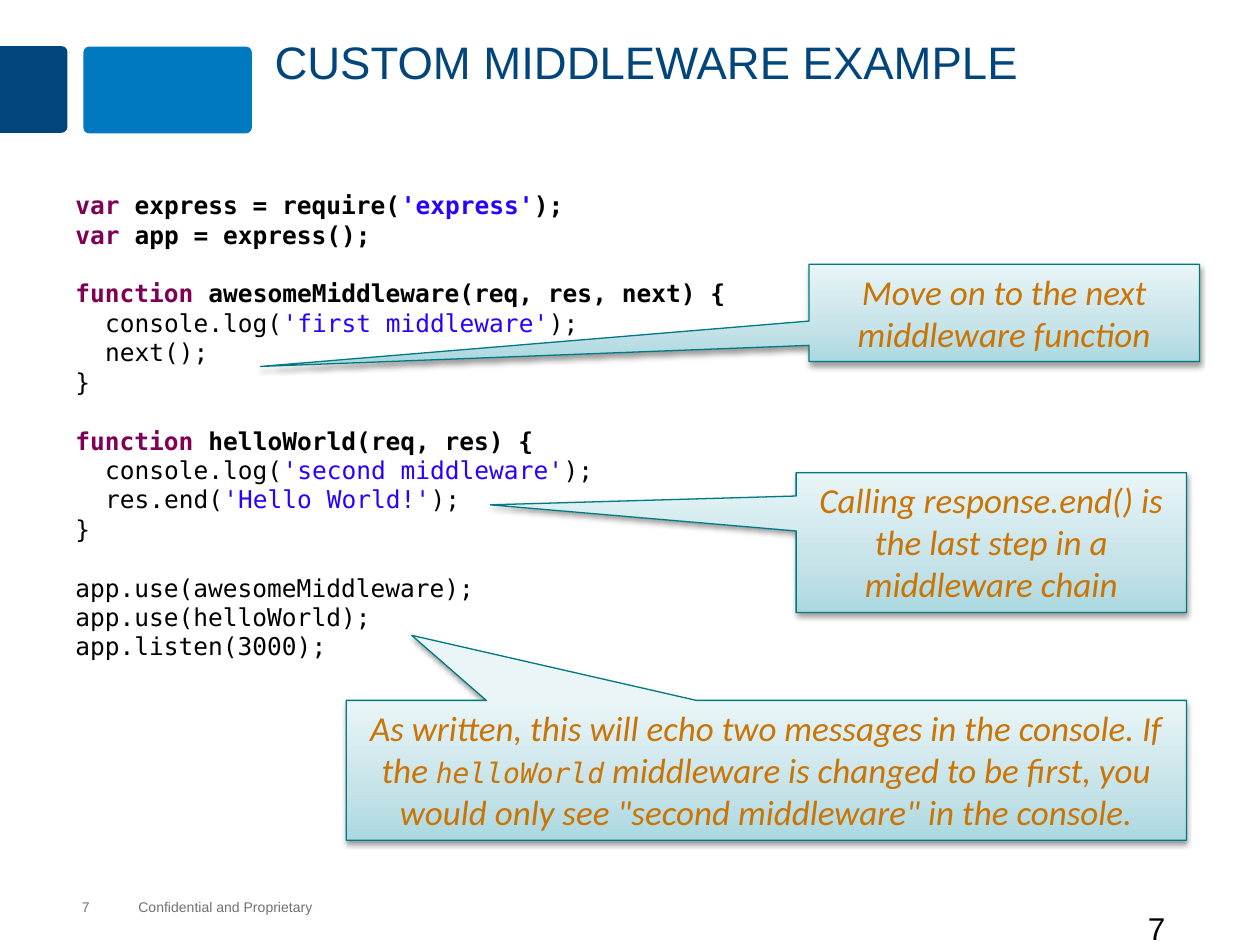
import lxml.etree
import pptx
import pptx.dml.color
import pptx.enum.shapes
import pptx.enum.text
import pptx.oxml
import pptx.oxml.ns
import pptx.util

Cm, Pt = pptx.util.Cm, pptx.util.Pt
RGBColor = pptx.dml.color.RGBColor
SHAPE = pptx.enum.shapes.MSO_SHAPE
ANCHOR = pptx.enum.text.MSO_ANCHOR
ALIGN = pptx.enum.text.PP_ALIGN
AUTO_SIZE = pptx.enum.text.MSO_AUTO_SIZE
qn = pptx.oxml.ns.qn

NAVY = RGBColor(0x00, 0x45, 0x7C)
BLUE = RGBColor(0x00, 0x79, 0xC1)
GREY = RGBColor(0x71, 0x70, 0x74)
BLACK = RGBColor(0x00, 0x00, 0x00)
KEYWORD = RGBColor(0x7F, 0x00, 0x55)
STRING = RGBColor(0x2A, 0x00, 0xFF)
TEAL = RGBColor(0x00, 0x79, 0x82)
ORANGE = RGBColor(0xCA, 0x74, 0x06)
GRADIENT = ((0, RGBColor(0xAB, 0xD8, 0xDF)),
            (35, RGBColor(0xC5, 0xE3, 0xE8)),
            (100, RGBColor(0xE9, 0xF5, 0xF7)))


class SlideBuilder:
    sans, callout_font, mono = "Arial", "Calibri", "DejaVu Sans Mono"
    code_size = 14
    code_line = 16.8
    code_indent = Cm(0.6)

    def __init__(self, slide):
        self.slide = slide

    def set_font(self, font, name, size, color=None):
        font.name, font.size = name, Pt(size)
        if color is not None:
            font.color.rgb = color

    def title(self, text, *place):
        title = self.slide.shapes.title
        title.left, title.top, title.width, title.height = map(Cm, place)
        frame = title.text_frame
        frame.text = text
        frame.vertical_anchor = ANCHOR.TOP
        frame.auto_size = AUTO_SIZE.NONE
        para = frame.paragraphs[0]
        para.alignment, para.line_spacing = ALIGN.LEFT, 0.95
        self.set_font(para.font, self.sans, 26, NAVY)

    def block(self, kind, color, adjustment, *place, rotation=0):
        block = self.slide.shapes.add_shape(kind, *map(Cm, place))
        block.adjustments[0] = adjustment
        block.rotation = rotation
        block.shadow.inherit = False
        block.fill.solid()
        block.fill.fore_color.rgb = color
        block.line.fill.background()

    def label(self, text, size, color, *place, tight=False):
        box = self.slide.shapes.add_textbox(*map(Cm, place))
        frame = box.text_frame
        frame.word_wrap = True
        if tight:
            frame.margin_left = frame.margin_right = 0
            frame.margin_top = frame.margin_bottom = 0
            frame.vertical_anchor = ANCHOR.MIDDLE
        frame.text = text
        self.set_font(frame.paragraphs[0].font, self.sans, size, color)

    def code(self, groups, *place):
        frame = self.slide.shapes.add_textbox(*map(Cm, place)).text_frame
        frame.word_wrap = True
        para = None
        for group in groups:
            for row, (level, bold, spans) in enumerate(group):
                first = para is None
                para = frame.paragraphs[0] if first else frame.add_paragraph()
                if row == 0 and not first:
                    para.space_before = Pt(self.code_line)
                if level:
                    indent = str(level * self.code_indent)
                    para._p.get_or_add_pPr().set("marL", indent)
                self.set_font(para.font, self.mono, self.code_size)
                para.font.bold = bold
                for text, color in spans:
                    span = para.add_run()
                    span.text = text
                    span.font.color.rgb = color

    def callout(self, spans, pointer, *place):
        box = self.slide.shapes.add_shape(
            SHAPE.RECTANGULAR_CALLOUT, *map(Cm, place))
        box.adjustments[0], box.adjustments[1] = pointer
        box.line.color.rgb, box.line.width = TEAL, Pt(0.75)
        self.gradient(box)
        self.soft_shadow(box)
        frame = box.text_frame
        frame.word_wrap = True
        frame.auto_size = AUTO_SIZE.SHAPE_TO_FIT_TEXT
        frame.vertical_anchor = ANCHOR.TOP
        para = frame.paragraphs[0]
        para.alignment, para.space_before = ALIGN.CENTER, Pt(4)
        para.font.italic = True
        para.font.color.rgb = ORANGE
        for text, name, size in spans:
            span = para.add_run()
            span.text = text
            self.set_font(span.font, name, size, ORANGE)

    def gradient(self, shape):
        shape.fill.gradient()
        shape.fill.gradient_angle = 90
        stops = shape._element.spPr.find(".//" + qn("a:gsLst"))
        for stop in list(stops):
            stops.remove(stop)
        for percent, color in GRADIENT:
            stop = lxml.etree.SubElement(
                stops, qn("a:gs"), pos=str(percent * 1000))
            lxml.etree.SubElement(stop, qn("a:srgbClr"), val=str(color))

    def soft_shadow(self, shape):
        shape.shadow.inherit = False
        effects = shape._element.spPr.find(qn("a:effectLst"))
        shadow = lxml.etree.SubElement(
            effects, qn("a:outerShdw"), blurRad=str(Pt(3.1)),
            dist=str(Pt(1.6)), dir="5400000", rotWithShape="0")
        color = lxml.etree.SubElement(shadow, qn("a:srgbClr"), val=str(BLACK))
        lxml.etree.SubElement(color, qn("a:alpha"), val="38000")


deck = pptx.Presentation()
deck.slide_width, deck.slide_height = Cm(25.4), Cm(19.05)
page = SlideBuilder(deck.slides.add_slide(deck.slide_layouts[5]))

# Header
page.block(SHAPE.ROUND_2_SAME_RECTANGLE, NAVY, 0.09,
           -0.2, 1.12, 1.75, 1.37, rotation=90)
page.block(SHAPE.ROUNDED_RECTANGLE, BLUE, 0.07, 1.68, 0.94, 3.4, 1.75)
page.title("CUSTOM MIDDLEWARE EXAMPLE", 5.28, 0.63, 19.48, 2.31)

# Footer
page.label("Confidential and Proprietary", 8, GREY,
           2.79, 18.11, 3.56, 0.33, tight=True)
page.label("7", 8, GREY, 1.65, 18.11, 1.6, 0.33, tight=True)
page.label("7", 18, BLACK, 22.89, 18.21, 2.51, 1.27)

# Code: groups of lines, each with its indent level, weight and spans
page.code([
    [(0, True, [("var", KEYWORD), (" express = require(", BLACK),
                ("'express'", STRING), (");", BLACK)]),
     (0, True, [("var", KEYWORD), (" app = express();", BLACK)])],
    [(0, True, [("function ", KEYWORD),
                ("awesomeMiddleware(req, res, next) {", BLACK)]),
     (1, False, [("console.log(", BLACK), ("'first middleware'", STRING),
                 (");", BLACK)]),
     (1, False, [("next();", BLACK)]),
     (0, False, [("}", BLACK)])],
    [(0, True, [("function ", KEYWORD), ("helloWorld(req, res) {", BLACK)]),
     (1, False, [("console.log(", BLACK), ("'second middleware'", STRING),
                 (");", BLACK)]),
     (1, False, [("res.end(", BLACK), ("'Hello World!'", STRING),
                 (");", BLACK)]),
     (0, False, [("}", BLACK)])],
    [(0, False, [(text, BLACK)]) for text in (
        "app.use(awesomeMiddleware);", "app.use(helloWorld);",
        "app.listen(3000);")],
], 1.27, 3.71, 22.91, 9.83)

# Callouts
plain = (page.callout_font, 20)
page.callout([("Move on to the next middleware function", *plain)],
             (-1.905, 0.55), 16.31, 5.33, 7.87, 1.96)
page.callout([
    ("As written, this will echo two messages in the console. If the ", *plain),
    ("helloWorld", page.mono, 16),
    (" middleware is changed to be first, you would only see "
     "\"second middleware\" in the console.", *plain),
], (-0.422, -0.965), 6.98, 14.12, 16.94, 2.82)
page.callout([("Calling response.end() is the last step in a middleware chain",
               *plain)], (-1.283, -0.27), 16.05, 9.53, 7.87, 2.82)

deck.save("out.pptx")
